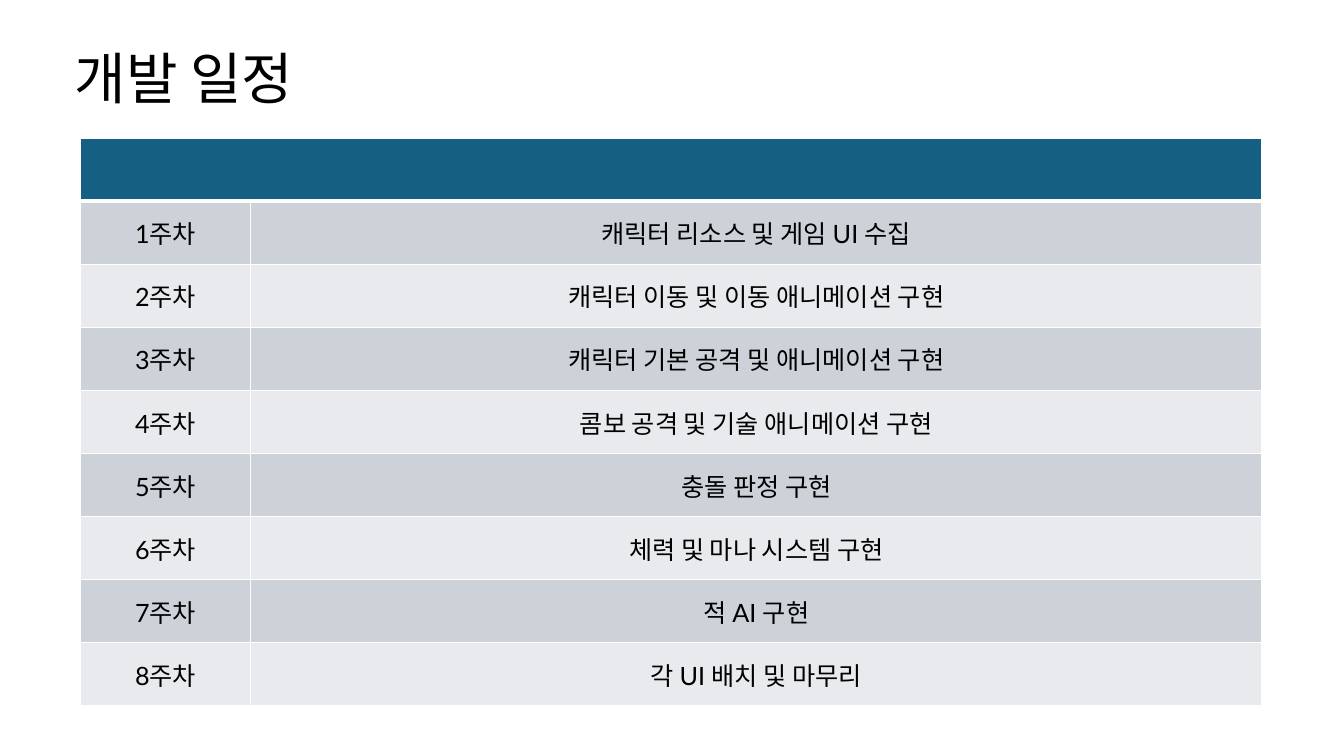
from dataclasses import dataclass

from lxml import etree
from pptx import Presentation
from pptx.dml.color import RGBColor
from pptx.enum.text import MSO_ANCHOR, PP_ALIGN
from pptx.oxml.ns import qn
from pptx.util import Cm, Pt

LEFT, CENTER = PP_ALIGN.LEFT, PP_ALIGN.CENTER
MIDDLE = MSO_ANCHOR.MIDDLE


@dataclass(frozen=True)
class Theme:
    font: str = "Lato"
    title_size: int = 40
    body_size: int = 18
    text: str = "000000"
    header: str = "156082"
    bands: tuple = ("CCD2D8", "E8EAED")
    grid: str = "FFFFFF"
    thin: int = 1
    thick: int = 3


THEME = Theme()

WEEKLY_TASKS = [
    "캐릭터 리소스 및 게임 UI 수집",
    "캐릭터 이동 및 이동 애니메이션 구현",
    "캐릭터 기본 공격 및 애니메이션 구현",
    "콤보 공격 및 기술 애니메이션 구현",
    "충돌 판정 구현",
    "체력 및 마나 시스템 구현",
    "적 AI 구현",
    "각 UI 배치 및 마무리",
]


def write(frame, text, size, alignment):
    frame.text = text
    paragraph = frame.paragraphs[0]
    paragraph.alignment = alignment
    paragraph.font.name = THEME.font
    paragraph.font.size = Pt(size)
    paragraph.font.bold = False
    paragraph.font.color.rgb = RGBColor.from_string(THEME.text)
    return paragraph


def paint(cell, color, top, bottom):
    """Fill a cell and rule its four sides, with top and bottom widths in points."""
    cell.fill.solid()
    cell.fill.fore_color.rgb = RGBColor.from_string(color)
    properties = cell._tc.get_or_add_tcPr()
    widths = {"a:lnL": THEME.thin, "a:lnR": THEME.thin, "a:lnT": top, "a:lnB": bottom}
    for position, (side, width) in enumerate(widths.items()):
        line = etree.Element(qn(side), w=str(Pt(width)))
        solid = etree.SubElement(line, qn("a:solidFill"))
        etree.SubElement(solid, qn("a:srgbClr"), val=THEME.grid)
        properties.insert(position, line)


prs = Presentation()
prs.slide_width, prs.slide_height = Cm(33.87), Cm(19.05)
slide = prs.slides.add_slide(prs.slide_layouts[5])

# Title
title = slide.shapes.title
title.left, title.top, title.width, title.height = Cm(1.63), Cm(0.2), Cm(29.21), Cm(3.68)
title.text_frame.vertical_anchor = MIDDLE
write(title.text_frame, "개발 일정", THEME.title_size, LEFT).line_spacing = 0.9

# Schedule: an empty header band, then one row per week
schedule = slide.shapes.add_table(
    len(WEEKLY_TASKS) + 1, 2, Cm(2.03), Cm(3.48), Cm(29.77), Cm(14.31)
).table
schedule.columns[0].width = Cm(4.29)
schedule.columns[1].width = Cm(25.48)
for row in schedule.rows:
    row.height = Cm(1.59)

schedule.cell(0, 0).merge(schedule.cell(0, 1))
for header_cell in schedule.rows[0].cells:
    paint(header_cell, THEME.header, THEME.thin, THEME.thick)

for week, task in enumerate(WEEKLY_TASKS, start=1):
    band = THEME.bands[(week - 1) % 2]
    top = THEME.thick if week == 1 else THEME.thin
    for cell, text in zip(schedule.rows[week].cells, (f"{week}주차", task)):
        paint(cell, band, top, THEME.thin)
        cell.vertical_anchor = MIDDLE
        write(cell.text_frame, text, THEME.body_size, CENTER)

prs.save("out.pptx")
